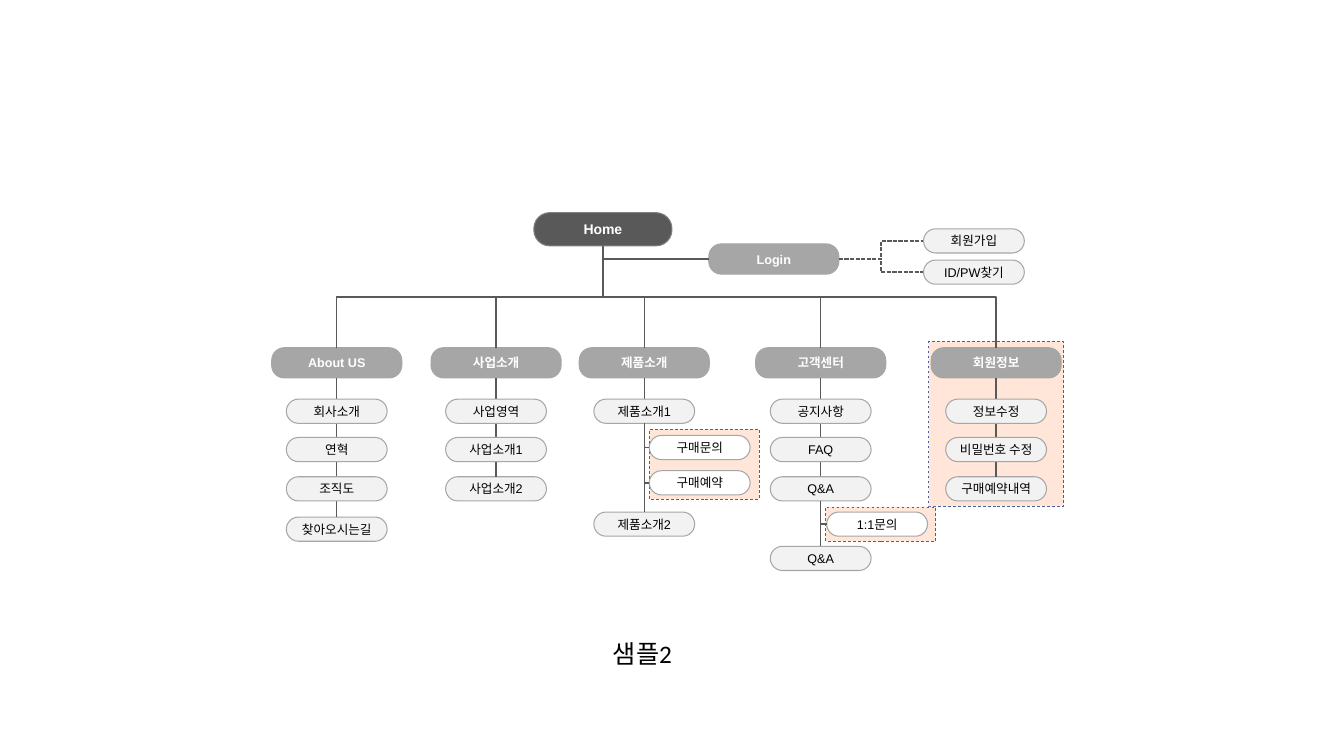
"""Build a site map slide: a home page, its login branch and five menu columns."""
import pptx
import pptx.util
import pptx.dml.color
import pptx.enum.dml
import pptx.enum.shapes
import pptx.enum.text
import pptx.oxml
import pptx.oxml.ns

Inches, Pt = pptx.util.Inches, pptx.util.Pt
SHAPE = pptx.enum.shapes.MSO_SHAPE
CONNECTOR = pptx.enum.shapes.MSO_CONNECTOR
DASH = pptx.enum.dml.MSO_LINE

CAPTION = "샘플2"
HOME = ("Home", 5.98, 2.11)
LOGIN = ("Login", 7.675, 2.42)
LOGIN_PAGES = [("회원가입", 2.27), ("ID/PW찾기", 2.58)]
LOGIN_PAGES_CENTER = 9.66

MENUS = [
    ("About US", 3.34, [("회사소개", 3.96), ("연혁", 4.34), ("조직도", 4.73), ("찾아오시는길", 5.13)]),
    ("사업소개", 4.92, [("사업영역", 3.96), ("사업소개1", 4.34), ("사업소개2", 4.73)]),
    ("제품소개", 6.39, [("제품소개1", 3.96), ("제품소개2", 5.08)]),
    ("고객센터", 8.14, [("공지사항", 3.96), ("FAQ", 4.34), ("Q&A", 4.73), ("Q&A", 5.42)]),
    ("회원정보", 9.88, [("정보수정", 3.96), ("비밀번호 수정", 4.34), ("구매예약내역", 4.73)]),
]
MENU_TOP = 3.45
SUBPAGES = [
    ("구매문의", 6.39, 4.2, 6.44, 4.32),
    ("구매예약", 6.39, 4.2, 6.44, 4.67),
    ("1:1문의", 8.14, 4.97, 8.2, 5.08),
]
HIGHLIGHTS = [(9.21, 3.39, 1.34, 1.63), (8.19, 5.03, 1.09, 0.34), (6.44, 4.26, 1.09, 0.69)]

THEME = {
    "home": dict(size=(1.37, 0.33), round=0.479, fill="595959", line="808080", text="FFFFFF", pt=10, bold=True),
    "menu": dict(size=(1.29, 0.3), round=0.417, fill="A6A6A6", line="A6A6A6", text="FFFFFF", pt=9, bold=True),
    "page": dict(size=(1, 0.24), round=0.5, fill="F2F2F2", line="A6A6A6", text="000000", pt=9, bold=False),
    "subpage": dict(size=(1, 0.24), round=0.5, fill="FFFFFF", line="A6A6A6", text="000000", pt=9, bold=False),
    "highlight": dict(fill="FFE6D8", line="48609E"),
    "link": "595959",
    "caption": dict(font="Calibri", pt=18, text="000000"),
    "font": "Arial",
}


def color(value):
    return pptx.dml.color.RGBColor.from_string(value)


def paint(shape, fill, line, width):
    shape.shadow.inherit = False
    shape.fill.solid()
    shape.fill.fore_color.rgb = color(fill)
    shape.line.color.rgb = color(line)
    shape.line.width = Pt(width)


def write(frame, text, font_name, pt, text_color, bold=False):
    frame.text = text
    font = frame.paragraphs[0].runs[0].font
    font.name, font.size, font.bold = font_name, Pt(pt), bold
    font.color.rgb = color(text_color)


def add_node(slide, level, text, center, top):
    style = THEME[level]
    width, height = style["size"]
    node = slide.shapes.add_shape(SHAPE.ROUNDED_RECTANGLE, Inches(center - width / 2), Inches(top),
                                  Inches(width), Inches(height))
    node.adjustments[0] = style["round"]
    paint(node, style["fill"], style["line"], 0.75)
    frame = node.text_frame
    write(frame, text, THEME["font"], style["pt"], style["text"], style["bold"])
    frame.margin_left = frame.margin_right = frame.margin_top = frame.margin_bottom = Inches(0.02)
    frame.vertical_anchor = pptx.enum.text.MSO_ANCHOR.MIDDLE
    frame.paragraphs[0].alignment = pptx.enum.text.PP_ALIGN.CENTER
    frame.paragraphs[0].space_before = Pt(style["pt"] * 0.1)
    return node


def add_link(slide, kind, x1, y1, x2, y2, dash=None):
    link = slide.shapes.add_connector(kind, Inches(x1), Inches(y1), Inches(x2), Inches(y2))
    link.line.color.rgb = color(THEME["link"])
    link.line.width = Pt(1)
    link.line.dash_style = dash
    properties = link._element.spPr
    properties.append(pptx.oxml.parse_xml(f'<a:effectLst {pptx.oxml.ns.nsdecls("a")}/>'))
    return link


def add_drop(slide, x1, y1, x2, y2, preset="bentConnector3"):
    """Add an elbow that leaves downwards, as a quarter turn about its middle."""
    middle_x, middle_y = (x1 + x2) / 2, (y1 + y2) / 2
    half_width, half_height = (y2 - y1) / 2, abs(x2 - x1) / 2
    side = 1 if x2 > x1 else -1
    drop = add_link(slide, CONNECTOR.ELBOW, middle_x + side * half_width, middle_y - half_height,
                    middle_x - side * half_width, middle_y + half_height)
    properties = drop._element.spPr
    properties.find(pptx.oxml.ns.qn("a:xfrm")).set("rot", str((270 if side > 0 else 90) * 60000))
    properties.find(pptx.oxml.ns.qn("a:prstGeom")).set("prst", preset)


def add_menu(slide, title, center, pages):
    *upper_pages, last_page = pages
    last = add_node(slide, "page", last_page[0], center, last_page[1])
    menu = add_node(slide, "menu", title, center, MENU_TOP)
    stem = add_link(slide, CONNECTOR.STRAIGHT, center, MENU_TOP, center, last_page[1])
    stem.begin_connect(menu, 2)
    stem.end_connect(last, 0)
    for text, top in upper_pages:
        add_node(slide, "page", text, center, top)


def add_login(slide):
    text, center, top = LOGIN
    width, height = THEME["menu"]["size"]
    page_width, page_height = THEME["page"]["size"]
    add_node(slide, "menu", text, center, top)
    for page, page_top in LOGIN_PAGES:
        add_link(slide, CONNECTOR.ELBOW, center + width / 2, top + height / 2,
                 LOGIN_PAGES_CENTER - page_width / 2, page_top + page_height / 2, DASH.SQUARE_DOT)
        add_node(slide, "page", page, LOGIN_PAGES_CENTER, page_top)
    return center - width / 2, top + height / 2


def main():
    deck = pptx.Presentation()
    deck.slide_width, deck.slide_height = Inches(13.33), Inches(7.5)
    slide = deck.slides.add_slide(deck.slide_layouts[6])

    for box in HIGHLIGHTS:
        highlight = slide.shapes.add_shape(SHAPE.RECTANGLE, *map(Inches, box))
        paint(highlight, THEME["highlight"]["fill"], THEME["highlight"]["line"], 0.5)
        highlight.line.dash_style = DASH.DASH

    add_node(slide, "home", *HOME)
    home_x, home_bottom = HOME[1], HOME[2] + THEME["home"]["size"][1]
    login_x, login_y = add_login(slide)
    add_drop(slide, home_x, home_bottom, login_x, login_y, "bentConnector2")

    for title, center, pages in MENUS:
        add_menu(slide, title, center, pages)
        add_drop(slide, home_x, home_bottom, center, MENU_TOP)

    width, height = THEME["subpage"]["size"]
    for text, stem_x, stem_y, left, top in SUBPAGES:
        add_node(slide, "subpage", text, left + width / 2, top)
        add_drop(slide, stem_x, stem_y, left, top + height / 2, "bentConnector2")

    caption = slide.shapes.add_textbox(Inches(5.98), Inches(6.28), Inches(0.83), Inches(0.4))
    style = THEME["caption"]
    write(caption.text_frame, CAPTION, style["font"], style["pt"], style["text"])
    caption.text_frame.word_wrap = False
    caption.text_frame.auto_size = pptx.enum.text.MSO_AUTO_SIZE.SHAPE_TO_FIT_TEXT
    deck.save("out.pptx")


if __name__ == "__main__":
    main()
